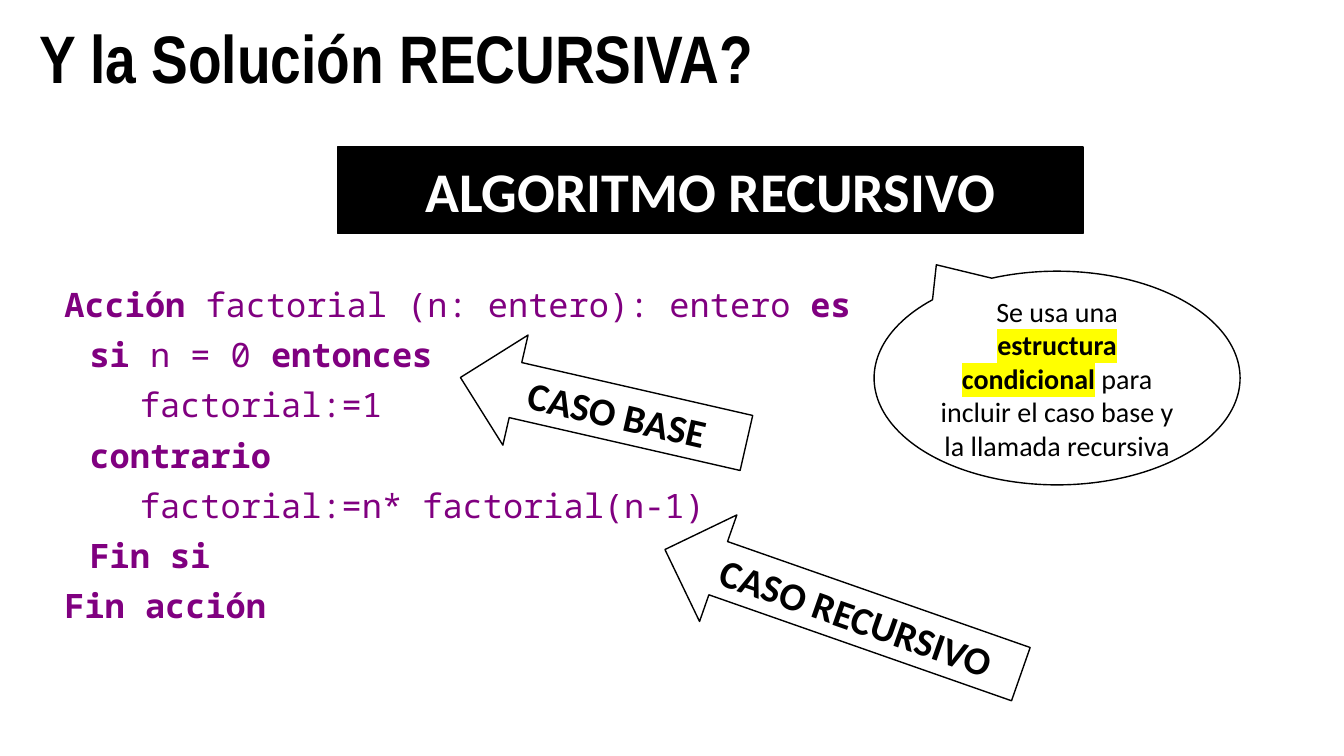
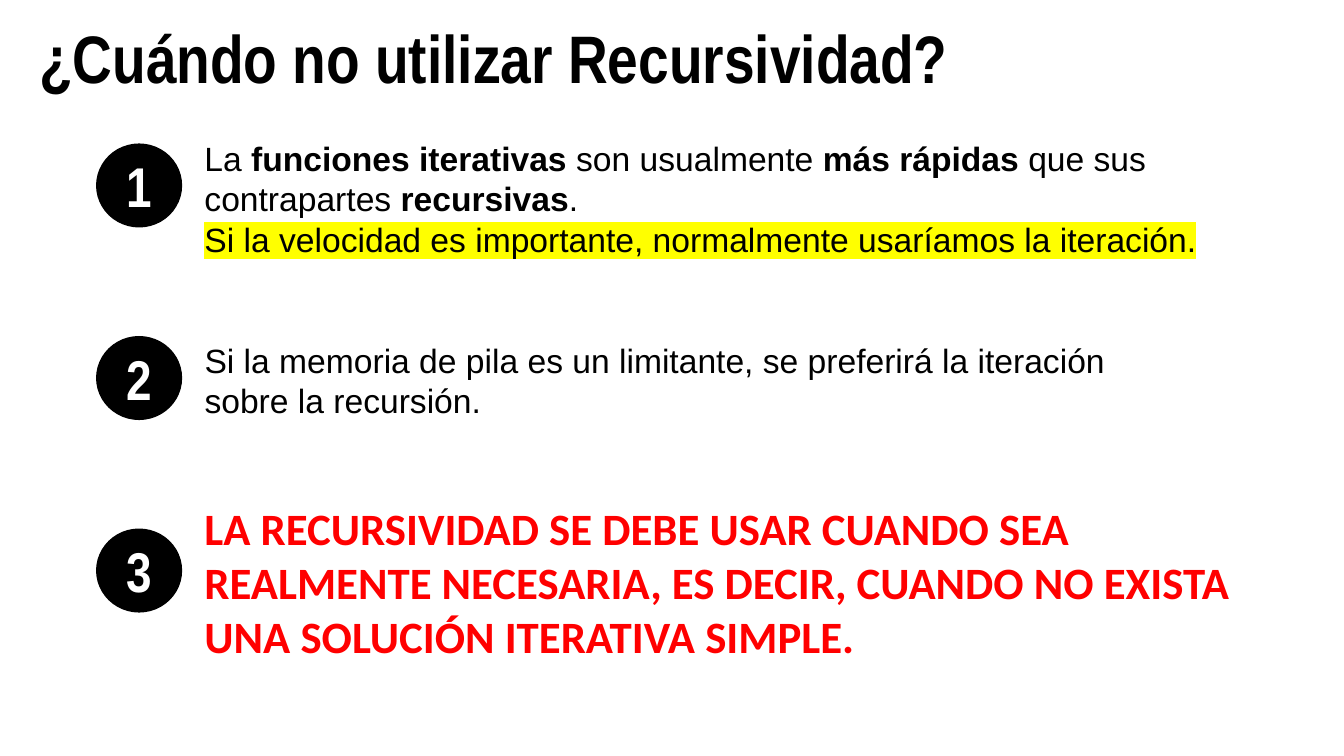
"""Build two slides about recursive algorithms and when to avoid them."""
from lxml.etree import SubElement
from pptx import Presentation
from pptx.dml.color import RGBColor
from pptx.enum.shapes import MSO_SHAPE
from pptx.enum.text import MSO_ANCHOR, MSO_AUTO_SIZE, PP_ALIGN
from pptx.oxml.ns import qn
from pptx.util import Pt

PX = 9144
SLIDE_SIZE = (1333, 750)
BLACK = RGBColor(0x00, 0x00, 0x00)
WHITE = RGBColor(0xFF, 0xFF, 0xFF)
PURPLE = RGBColor(0x80, 0x00, 0x80)
RED = RGBColor(0xFF, 0x00, 0x00)
YELLOW = RGBColor(0xFF, 0xFF, 0x00)

PLAIN, BOLD, MARKED, BOLD_MARKED = (0, 0), (1, 0), (0, 1), (1, 1)

TITLE_AT = (29, 11, 1224, 125)
TITLE_FONT = ("Arial Narrow", 48, BLACK)
BANNER_FONT = ("Calibri", 40, WHITE)
CODE_FONT = ("Noto Sans Mono", 24, PURPLE)
CALLOUT_FONT = ("Calibri", 20, BLACK)
ARROW_FONT = ("Calibri", 28, BLACK)
NUMBER_FONT = ("Arial Narrow", 40, WHITE)
BODY_FONT = ("Arial", 24, BLACK)
WARNING_FONT = ("Calibri", 32, RED)

CENTERED = {"alignment": PP_ALIGN.CENTER}
CODE_FORMAT = {"alignment": PP_ALIGN.JUSTIFY, "line_spacing": 0.9}
CODE_INDENT = 25
CODE_GAP = Pt(10)

RECURSIVE_TITLE = "Y la Solución RECURSIVA?"
BANNER = "ALGORITMO RECURSIVO"
CODE = [
    [("Acción", BOLD), (" factorial (n: entero): entero ", PLAIN), ("es", BOLD)],
    [("\tsi", BOLD), (" n = 0 ", PLAIN), ("entonces", BOLD)],
    [("\t\tfactorial:=1", PLAIN)],
    [("\tcontrario", BOLD)],
    [("\t\tfactorial:=n* factorial(n-1)", PLAIN)],
    [("\tFin si", BOLD)],
    [("Fin acción", BOLD)],
]
CALLOUT = [[
    ("Se usa una ", PLAIN),
    ("estructura condicional", BOLD_MARKED),
    (" para incluir el caso base y la llamada recursiva", PLAIN),
]]
ARROWS = [
    ("CASO BASE", (453, 351, 291, 112), 12.9),
    ("CASO RECURSIVO", (649, 551, 374, 112), 19.3),
]

AVOID_TITLE = "¿Cuándo no utilizar Recursividad?"
REASONS = [
    ((193, 132, 1060, 131), BODY_FONT, [
        [("La ", PLAIN), ("funciones iterativas", BOLD), (" son usualmente ", PLAIN),
         ("más rápidas ", BOLD), ("que sus contrapartes ", PLAIN),
         ("recursivas", BOLD), (".", PLAIN)],
        [("Si la velocidad es importante, normalmente usaríamos la iteración.", MARKED)],
    ]),
    ((193, 332, 941, 91), BODY_FONT, [
        [("Si la memoria de pila es un limitante, se preferirá la iteración "
          "sobre la recursión.", PLAIN)],
    ]),
    ((193, 492, 1060, 172), WARNING_FONT, [
        [("LA RECURSIVIDAD SE DEBE USAR CUANDO SEA REALMENTE NECESARIA, ES DECIR, "
          "CUANDO NO EXISTA UNA SOLUCIÓN ITERATIVA SIMPLE.", BOLD)],
    ]),
]
NUMBER_LEFT, NUMBER_TOP, NUMBER_PITCH = 96, 143, 191
NUMBER_SIZE = (84, 82)


def set_all(target, values):
    for name, value in values.items():
        setattr(target, name, value)


def scaled(place):
    return [length * PX for length in place]


def highlight(span):
    mark = SubElement(span.font._element, qn("a:highlight"))
    SubElement(mark, qn("a:srgbClr"), val=str(YELLOW))
    span.font._element.find(qn("a:solidFill")).addnext(mark)


def write(box, paragraphs, text_font, para_format):
    name, size, color = text_font
    frame = box.text_frame
    frame.word_wrap = True
    for index, spans in enumerate(paragraphs):
        para = frame.add_paragraph() if index else frame.paragraphs[0]
        set_all(para, para_format)
        for text, (bold, marked) in spans:
            span = para.add_run()
            span.text = text
            set_all(span.font, {"name": name, "size": Pt(size), "bold": bool(bold)})
            span.font.color.rgb = color
            if marked:
                highlight(span)
    return frame


def add_text(page, place, paragraphs, text_font, para_format):
    box = page.shapes.add_textbox(*scaled(place))
    return write(box, paragraphs, text_font, para_format)


def add_figure(page, kind, place, paragraphs, text_font, fill):
    figure = page.shapes.add_shape(kind, *scaled(place))
    figure.shadow.inherit = False
    figure.fill.solid()
    figure.fill.fore_color.rgb = fill
    figure.line.color.rgb = BLACK
    figure.line.width = Pt(1)
    frame = write(figure, paragraphs, text_font, CENTERED)
    frame.vertical_anchor = MSO_ANCHOR.MIDDLE
    return figure


def add_page(deck, title):
    page = deck.slides.add_slide(deck.slide_layouts[6])
    add_text(page, TITLE_AT, [[(title, BOLD)]], TITLE_FONT, {})
    return page


def add_code(page):
    frame = add_text(page, (54, 281, 814, 425), CODE, CODE_FONT, CODE_FORMAT)
    for index, para in enumerate(frame.paragraphs):
        properties = para._p.get_or_add_pPr()
        properties.set("marL", str(CODE_INDENT * PX))
        properties.set("indent", str(-CODE_INDENT * PX))
        para.space_before = CODE_GAP if index else Pt(0)


def build_recursive(deck):
    page = add_page(deck, RECURSIVE_TITLE)
    add_figure(page, MSO_SHAPE.RECTANGLE, (335, 146, 739, 86),
               [[(BANNER, BOLD)]], BANNER_FONT, BLACK)
    add_code(page)
    callout = add_figure(page, MSO_SHAPE.OVAL_CALLOUT, (867, 269, 363, 212),
                         CALLOUT, CALLOUT_FONT, WHITE)
    callout.adjustments[0] = -0.33
    callout.adjustments[1] = -0.53
    for label, place, angle in ARROWS:
        arrow = add_figure(page, MSO_SHAPE.LEFT_ARROW, place,
                           [[(label, BOLD)]], ARROW_FONT, WHITE)
        arrow.rotation = angle


def build_avoid(deck):
    page = add_page(deck, AVOID_TITLE)
    for index, (place, text_font, paragraphs) in enumerate(REASONS):
        frame = add_text(page, place, paragraphs, text_font, {})
        frame.auto_size = MSO_AUTO_SIZE.SHAPE_TO_FIT_TEXT
        top = NUMBER_TOP + index * NUMBER_PITCH
        add_figure(page, MSO_SHAPE.FLOWCHART_CONNECTOR, (NUMBER_LEFT, top, *NUMBER_SIZE),
                   [[(str(index + 1), BOLD)]], NUMBER_FONT, BLACK)


def main():
    deck = Presentation()
    deck.slide_width, deck.slide_height = scaled(SLIDE_SIZE)
    build_recursive(deck)
    build_avoid(deck)
    deck.save("out.pptx")


if __name__ == "__main__":
    main()
